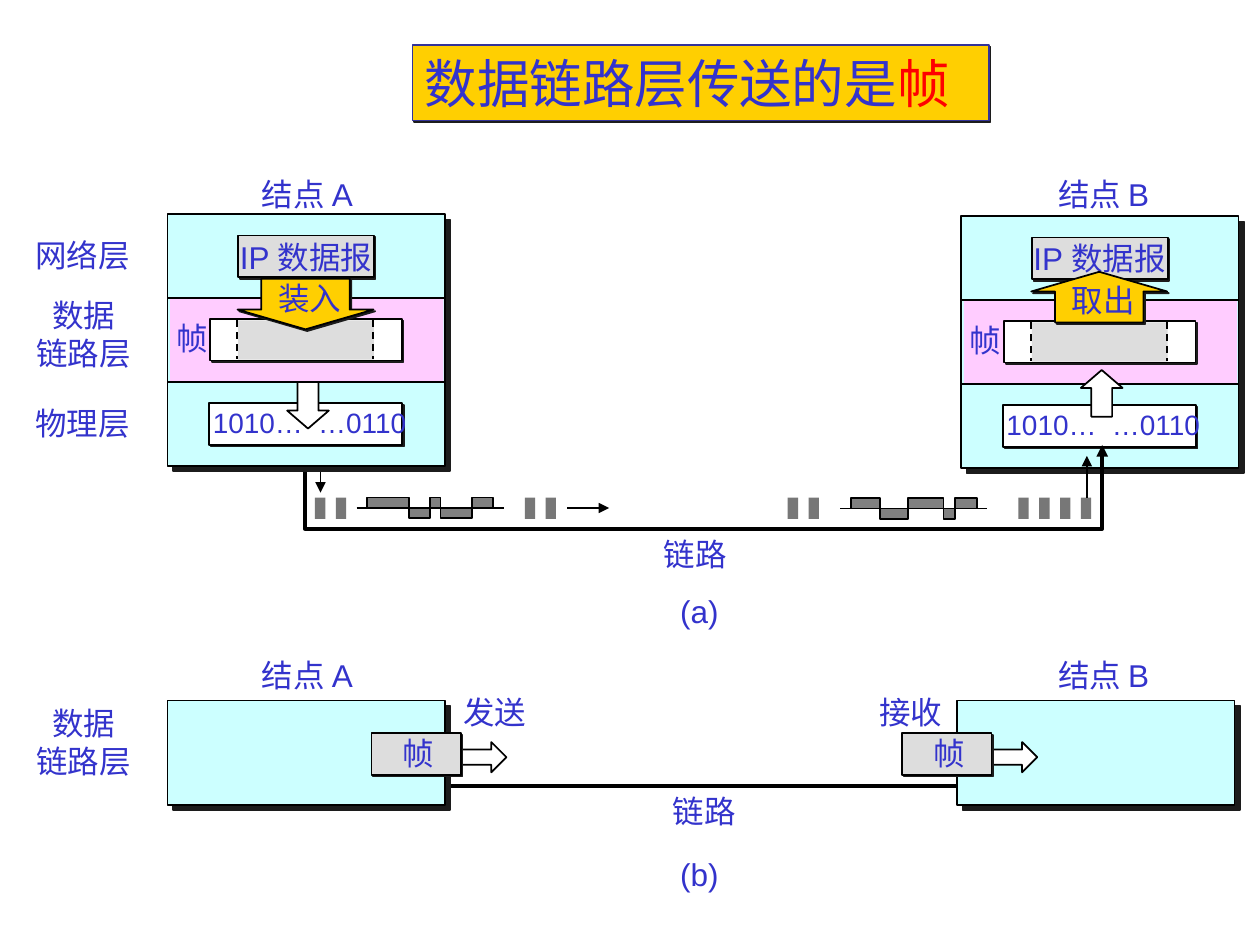
from lxml import etree
from pptx import Presentation
from pptx import util as u
from pptx.dml.color import RGBColor
from pptx.enum import dml, shapes, text
from pptx.oxml.ns import qn

HUES = {
    "ink": "3333CC", "red": "FF0000", "gold": "FFCF01", "edge": "333399",
    "aqua": "CCFFFF", "pink": "FFCCFF", "pale": "DDDDDD", "white": "FFFFFF",
    "black": "000000", "bit": "777777", "wave": "808080", "shade": "1C1C1C",
}
KIND = shapes.MSO_SHAPE
ALIGN = text.PP_ALIGN


def rgb(name):
    return RGBColor.from_string(HUES[name])


def cms(*vals):
    return [u.Cm(v) for v in vals]


def shade(shape, dist):
    """Hard shadow to the lower right, dist in points."""
    fx = shape._element.spPr.find(qn("a:effectLst"))
    cast = etree.SubElement(fx, qn("a:outerShdw"), blurRad="0",
                            dist=str(u.Pt(dist)), dir="2700000", algn="ctr", rotWithShape="0")
    etree.SubElement(cast, qn("a:srgbClr"), val=HUES["shade"])


def style(shape, fill, line="black", width=1, dist=0):
    shape.shadow.inherit = False
    if fill:
        shape.fill.solid()
        shape.fill.fore_color.rgb = rgb(fill)
    else:
        shape.fill.background()
    if line:
        shape.line.color.rgb = rgb(line)
        shape.line.width = u.Pt(width)
    else:
        shape.line.fill.background()
    if dist:
        shade(shape, dist)


def draw(to, box, fill, line="black", width=1, dist=0, kind=KIND.RECTANGLE, adj=()):
    shape = to.add_shape(kind, *cms(*box))
    for i, val in enumerate(adj):
        shape.adjustments[i] = val
    style(shape, fill, line, width, dist)
    return shape


def write(shape, words, size=18, font="Arial", align=ALIGN.LEFT, space=None, wrap=False):
    frame = shape.text_frame
    frame.word_wrap = wrap
    frame.text = words
    for para in frame.paragraphs:
        para.alignment = align
        if space:
            para.line_spacing = space
        para.font.size = u.Pt(size)
        para.font.name = font
        para.font.color.rgb = rgb("ink")
    return frame


def label(to, box, words, **look):
    frame = write(to.add_textbox(*cms(*box)), words, **look)
    frame.auto_size = text.MSO_AUTO_SIZE.SHAPE_TO_FIT_TEXT


def head(line):
    etree.SubElement(line.line._get_or_add_ln(), qn("a:tailEnd"), type="triangle")


def rule(to, start, end, width=1, dash=False, arrow=False):
    line = to.add_connector(shapes.MSO_CONNECTOR.STRAIGHT, *cms(*start, *end))
    line.line.color.rgb = rgb("black")
    line.line.width = u.Pt(width)
    if dash:
        line.line.dash_style = dml.MSO_LINE.DASH
    if arrow:
        head(line)
    etree.SubElement(line._element.spPr, qn("a:effectLst"))


def trace(to, pts, fill=None, width=1, close=False):
    pen = to.build_freeform(*cms(*pts[0]))
    pen.add_line_segments([cms(*p) for p in pts[1:]], close=close)
    shape = pen.convert_to_shape()
    style(shape, fill, width=width)
    return shape


def title(to, box):
    shape = draw(to, box, "gold", "edge", 0.75, 1.4)
    frame = write(shape, "数据链路层传送的是", size=30, font="Lato", wrap=True)
    frame.vertical_anchor = text.MSO_ANCHOR.TOP
    key = frame.paragraphs[0].add_run()
    key.text = "帧"
    key.font.color.rgb = rgb("red")


def node(to, x, y, verb, down):
    """Three-layer stack; data moves down when sending, up when receiving."""
    wide, high = 5.59, 5.08
    third = high / 3
    kind = KIND.DOWN_ARROW if down else KIND.UP_ARROW

    def at(dx, dy, w, h):
        return x + dx, y + dy, w, h

    # Layers
    draw(to, at(0, 0, wide, high), "aqua", dist=4.2)
    draw(to, at(0.05, third, 5.51, third), "pink", None)
    for k in (1, 2):
        rule(to, (x, y + k * third), (x + wide, y + k * third))
    # Frame, datagram and bit string
    draw(to, at(0.86, 2.11, 3.86, 0.84), "white", dist=1.4)
    pack = draw(to, at(1.42, 0.43, 2.74, 0.84), "pale", dist=1.4)
    write(pack, "IP 数据报", align=ALIGN.CENTER).vertical_anchor = text.MSO_ANCHOR.MIDDLE
    draw(to, at(0.84, 3.81, 3.89, 0.84), "white", dist=1.4)
    label(to, at(0.66, 3.84, 4.45, 0.81), "1010…  …0110", size=16, space=0.85)
    # Arrows between layers
    draw(to, at(2.41, 3.38 if down else 3.1, 0.84, 0.94), "white", kind=kind, adj=(0.5, 0.43))
    draw(to, at(1.42, 2.14, 2.74, 0.79), "pale", None)
    draw(to, at(1.41, 1.3 if down else 1.12, 2.74, 1.02), "gold", dist=1.4,
         kind=kind, adj=(0.65, 0.39))
    label(to, at(-0.08, 1.98, 1.14, 1.02), "帧")
    label(to, at(1.98, 1.19, 1.78, 1.02), verb)
    for dx in (1.4, 4.14):
        rule(to, (x + dx, y + 2.13), (x + dx, y + 2.92), dash=True)


def wave(to, x, y, edges):
    """Square signal on its axis, starting high and flipping at each edge."""
    part = to.add_group_shape().shapes
    rule(part, (x, y), (x + 2.96, y))
    pts = [(x + edges[0], y)]
    for i, (a, b) in enumerate(zip(edges, edges[1:])):
        lift = y + (0.21 if i % 2 else -0.21)
        pts += [(x + a, lift), (x + b, lift)]
    pts.append((x + edges[-1], y))
    trace(part, pts, "wave", close=True)


def wire(to, x, y):
    """Physical link with bits and signals travelling along it."""
    path = [(x, y), (x, y + 1.69), (x + 16.07, y + 1.69), (x + 16.07, y)]
    head(trace(to, path, width=2.25))
    for dx, count in ((0.2, 2), (4.43, 2), (9.73, 2), (14.38, 4)):
        for k in range(count):
            draw(to, (x + dx + k * 0.42, y + 1.06, 0.21, 0.43), "bit", None)
    for start, end in (((5.28, 1.27), (6.13, 1.27)),
                       ((0.31, 0.1), (0.31, 0.96)),
                       ((15.76, 1.06), (15.76, 0.22))):
        rule(to, (x + start[0], y + start[1]), (x + end[0], y + end[1]), arrow=True)
    wave(to, x + 1.04, y + 1.27, (0.21, 1.06, 1.48, 1.69, 2.33, 2.75))
    wave(to, x + 10.79, y + 1.28, (0.21, 0.8, 1.37, 2.08, 2.31, 2.75))


def frame(to, x, y):
    """Frame block with its direction arrow."""
    part = to.add_group_shape().shapes
    draw(part, (x + 1.53, y + 0.18, 1.19, 0.61), "white", kind=KIND.RIGHT_ARROW)
    draw(part, (x, y, 1.8, 0.84), "pale", dist=1.4)
    label(part, (x + 0.38, y - 0.1, 1.14, 1.02), "帧")


def link(to, x, y):
    """Data link layer view: two stations and the line between them."""
    rule(to, (x + 5.33, y + 1.73), (x + 18.57, y + 1.73), width=2.25)
    for dx in (0, 15.92):
        draw(to, (x + dx, y, 5.59, 2.11), "aqua", dist=4.2)
    for dx in (4.11, 14.81):
        frame(to, x + dx, y + 0.66)
    for dx, verb in ((5.71, "发送"), (14.1, "接收")):
        label(to, (x + dx, y - 0.28, 1.78, 1.02), verb)


def names(to):
    """Row names, node names and captions."""
    for y in (5.84, 14.07):
        label(to, (0.48, y, 2.41, 1.78), "数据\n链路层", align=ALIGN.CENTER)
    for y, words in ((4.75, "网络层"), (8.13, "物理层")):
        label(to, (0.46, y, 2.41, 0.89), words, space=0.85)
    for y in (3.4, 13.11):
        for x, words in ((5.03, "结点 A"), (21.08, "结点 B")):
            label(to, (x, y, 2.49, 1.02), words)
    for x, y in ((13.13, 10.67), (13.31, 15.85)):
        label(to, (x, y, 1.78, 1.02), "链路")
    for y, words in ((11.81, "(a)"), (17.12, "(b)")):
        label(to, (13.46, y, 1.4, 1.02), words)


def main():
    deck = Presentation()
    deck.slide_width, deck.slide_height = cms(25.4, 19.05)
    to = deck.slides.add_slide(deck.slide_layouts[6]).shapes
    node(to, 19.38, 4.36, "取出", down=False)
    wire(to, 6.15, 8.97)
    node(to, 3.38, 4.32, "装入", down=True)
    link(to, 3.38, 14.12)
    names(to)
    title(to, (8.31, 0.91, 11.63, 1.52))
    deck.save("out.pptx")


if __name__ == "__main__":
    main()
